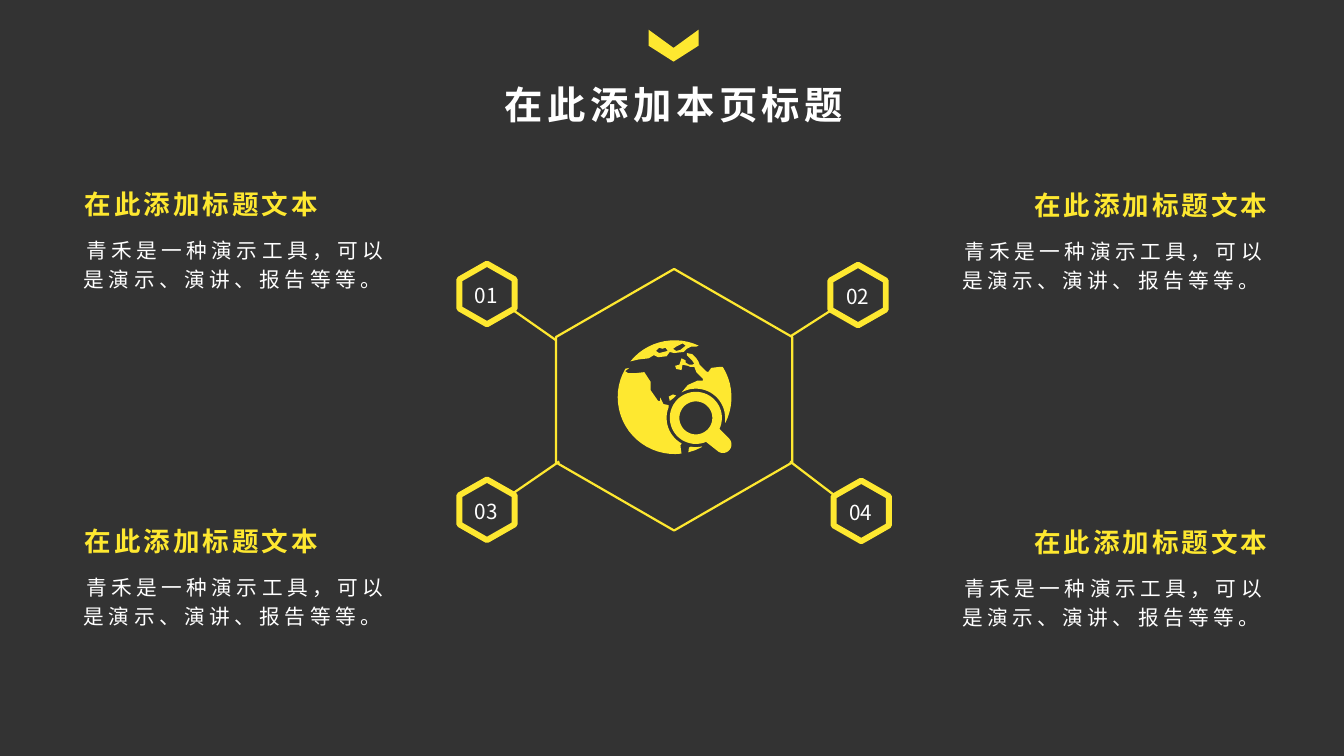
import math
import pptx
import pptx.dml.color
import pptx.enum.shapes
import pptx.enum.text
import pptx.oxml
import pptx.oxml.ns
import pptx.util

Inches = pptx.util.Inches
COLORS = {"background": "333333", "accent": "FEE830", "text": "FFFFFF"}
FONT = "Noto Sans CJK SC"
HEADING = "在此添加标题文本"
BODY = "青禾是一种演示工具，可以是演示、演讲、报告等等。 "
HEXAGON = [(1, 0.74), (0.5, 1), (0, 0.74), (0, 0.26), (0.5, 0), (1, 0.26)]
CHEVRON = [(0, 0.5), (0, 0), (0.5, 0.57), (1, 0), (1, 0.5), (0.5, 1)]

CORNERS = [
    ("01", (4.32, 2.48), (0.51, 0.44), (0.91, 0.72), (0.58, 1.65), False),
    ("02", (7.81, 2.49), (0.02, 0.42), (-0.37, 0.67), (8.84, 1.66), True),
    ("03", (4.32, 4.51), (0.49, 0.14), (0.94, -0.17), (0.58, 4.82), False),
    ("04", (7.84, 4.52), (0.01, 0.14), (-0.41, -0.18), (8.84, 4.83), True),
]

GLOBE_CENTER = (53.5, 52.5)
GLOBE_RADIUS = 53.5
LENS_CENTER = (73.5, 72)
GAP_RADIUS = 27.5
EAST_COAST = [
    (66, 41), (75, 37), (80, 37), (80, 35), (74, 29), (72, 24), (68, 24), (66, 23),
    (61, 22), (60, 27), (55, 26), (54, 23), (58, 22), (60, 16), (64, 18), (64, 20),
    (67, 22), (70, 22), (72, 21), (70, 18), (65, 13), (65, 11), (70, 12), (74, 16),
    (76, 19), (77, 22), (83, 28), (85, 29), (88, 25), (96, 24),
]
ARCTIC_COAST = [
    (74, 5), (69, 5), (65, 7), (62, 10), (53, 11), (49, 10), (46, 14), (38, 15),
    (34, 13), (29, 16), (20, 17),
]
ARCTIC_ISLANDS = [
    [(45, 6), (42, 7), (39, 6), (38, 7), (36, 9), (36, 9), (39, 11), (47, 9)],
    [(61, 2), (55, 5), (52, 7), (55, 9), (59, 8), (64, 4)],
]
GULF = [(52, 50), (55, 51), (53, 53), (49, 56), (48, 52)]
WEST_COAST = [
    (11, 25), (7, 28), (10, 30), (16, 30), (25, 29), (31, 38), (31, 46), (38, 56),
    (40, 56), (40, 53), (43, 59), (48, 60),
]


def rgb(name):
    return pptx.dml.color.RGBColor.from_string(COLORS[name])


def arc(center, radius, start, end):
    steps = max(2, round(abs(end - start) / 6))
    angles = [math.radians(start + (end - start) * i / steps) for i in range(steps + 1)]
    return [(center[0] + radius * math.cos(a), center[1] + radius * math.sin(a))
            for a in angles]


def add_outline(slide, contours, left, top, width, height, fill=None, line=None):
    contours = [[(Inches(left + x * width), Inches(top + y * height))
                 for x, y in contour] for contour in contours]
    builder = slide.shapes.build_freeform(*contours[0][0])
    for index, contour in enumerate(contours):
        if index:
            builder.move_to(*contour[0])
        builder.add_line_segments(contour[1:], close=True)
    shape = builder.convert_to_shape()
    shape.shadow.inherit = False
    if fill:
        shape.fill.solid()
        shape.fill.fore_color.rgb = rgb(fill)
    else:
        shape.fill.background()
    if line:
        shape.line.color.rgb = rgb("accent")
        shape.line.width = pptx.util.Pt(line)
    else:
        shape.line.fill.background()


def format_text(shape, text, size, color, bold=False, spacing=0):
    frame = shape.text_frame
    frame.word_wrap = True
    frame.auto_size = pptx.enum.text.MSO_AUTO_SIZE.SHAPE_TO_FIT_TEXT
    frame.vertical_anchor = pptx.enum.text.MSO_ANCHOR.TOP
    frame.margin_left = frame.margin_right = Inches(0.14)
    frame.margin_top = frame.margin_bottom = Inches(0.07)
    paragraph = frame.paragraphs[0]
    paragraph.alignment = pptx.enum.text.PP_ALIGN.CENTER
    paragraph.line_spacing = 1.16
    paragraph.space_before = pptx.util.Pt(0)
    run = paragraph.add_run()
    run.text = text
    run.font.name = FONT
    run.font.size = pptx.util.Pt(size)
    run.font.bold = bold
    run.font.color.rgb = rgb(color)
    properties = run._r.get_or_add_rPr()
    properties.set("spc", str(spacing * 100))
    east_asian = pptx.oxml.parse_xml(
        f'<a:ea {pptx.oxml.ns.nsdecls("a")} typeface="{FONT}"/>')
    properties.find(pptx.oxml.ns.qn("a:latin")).addnext(east_asian)


def add_text(slide, left, top, width, height, *style, **options):
    box = slide.shapes.add_textbox(*map(Inches, (left, top, width, height)))
    format_text(box, *style, **options)


def add_header(slide, left, top, width):
    add_outline(slide, [CHEVRON], left + width / 2 - 0.24, top, 0.47, 0.3, fill="accent")
    title = slide.shapes.title
    title.left, title.top = Inches(left), Inches(top + 0.34)
    title.width, title.height = Inches(width), Inches(0.64)
    format_text(title, "在此添加本页标题", 26, "text", bold=True, spacing=3)


def add_globe(slide, left, top, size):
    handle = arc((99, 97), 8, -45, 135)
    contours = [
        handle + arc(LENS_CENTER, 24.5, 67, 385),
        arc(LENS_CENTER, 15.5, 0, 354),
        arc(GLOBE_CENTER, GLOBE_RADIUS, -32, 27)
        + arc(LENS_CENTER, GAP_RADIUS, 5, -119) + EAST_COAST,
        ARCTIC_COAST + arc(GLOBE_CENTER, GLOBE_RADIUS, 219, 295),
        *ARCTIC_ISLANDS,
        GULF,
        WEST_COAST + arc(LENS_CENTER, GAP_RADIUS, 201, 119) + [(59, 98)]
        + arc(GLOBE_CENTER, GLOBE_RADIUS, 83, 210),
        arc(LENS_CENTER, GAP_RADIUS, 100, 78)
        + arc(GLOBE_CENTER, GLOBE_RADIUS, 61, 76) + [(67, 100)],
    ]
    scale = size / 108
    add_outline(slide, contours, left, top, scale, scale, fill="accent")


def add_hub(slide, left, top, width, height):
    add_outline(slide, [HEXAGON], left, top, width, height, line=1.5)
    add_globe(slide, left + 0.58, top + 0.68, 1.08)


def add_badge(slide, left, top, number, link_start, link_end):
    ends = [Inches(base + offset) for point in (link_start, link_end)
            for base, offset in zip((left, top), point)]
    link = slide.shapes.add_connector(pptx.enum.shapes.MSO_CONNECTOR.STRAIGHT, *ends)
    link.line.color.rgb = rgb("accent")
    link.line.width = pptx.util.Pt(1.5)
    link._element.spPr.append(
        pptx.oxml.parse_xml(f'<a:effectLst {pptx.oxml.ns.nsdecls("a")}/>'))
    add_outline(slide, [HEXAGON], left, top, 0.52, 0.57, line=4)
    add_text(slide, left, top + 0.07, 0.51, 0.4, number, 14, "text")


def add_caption(slide, left, top, width, align_right):
    heading_width = 2.63
    heading_left = left + width - heading_width if align_right else left
    add_text(slide, heading_left, top, heading_width, 0.49,
             HEADING, 18, "accent", bold=True, spacing=2)
    add_text(slide, left, top + 0.48, width, 0.67, BODY, 14, "text", spacing=3)


def main():
    presentation = pptx.Presentation()
    presentation.slide_width = Inches(12.64)
    presentation.slide_height = Inches(7.11)
    slide = presentation.slides.add_slide(presentation.slide_layouts[5])
    slide.background.fill.solid()
    slide.background.fill.fore_color.rgb = rgb("background")
    add_header(slide, 4.43, 0.28, 3.82)
    add_hub(slide, 5.23, 2.53, 2.22, 2.46)
    for number, badge, link_start, link_end, caption, align_right in CORNERS:
        add_badge(slide, *badge, number, link_start, link_end)
        add_caption(slide, *caption, 3.3, align_right)
    presentation.save("out.pptx")


if __name__ == "__main__":
    main()
